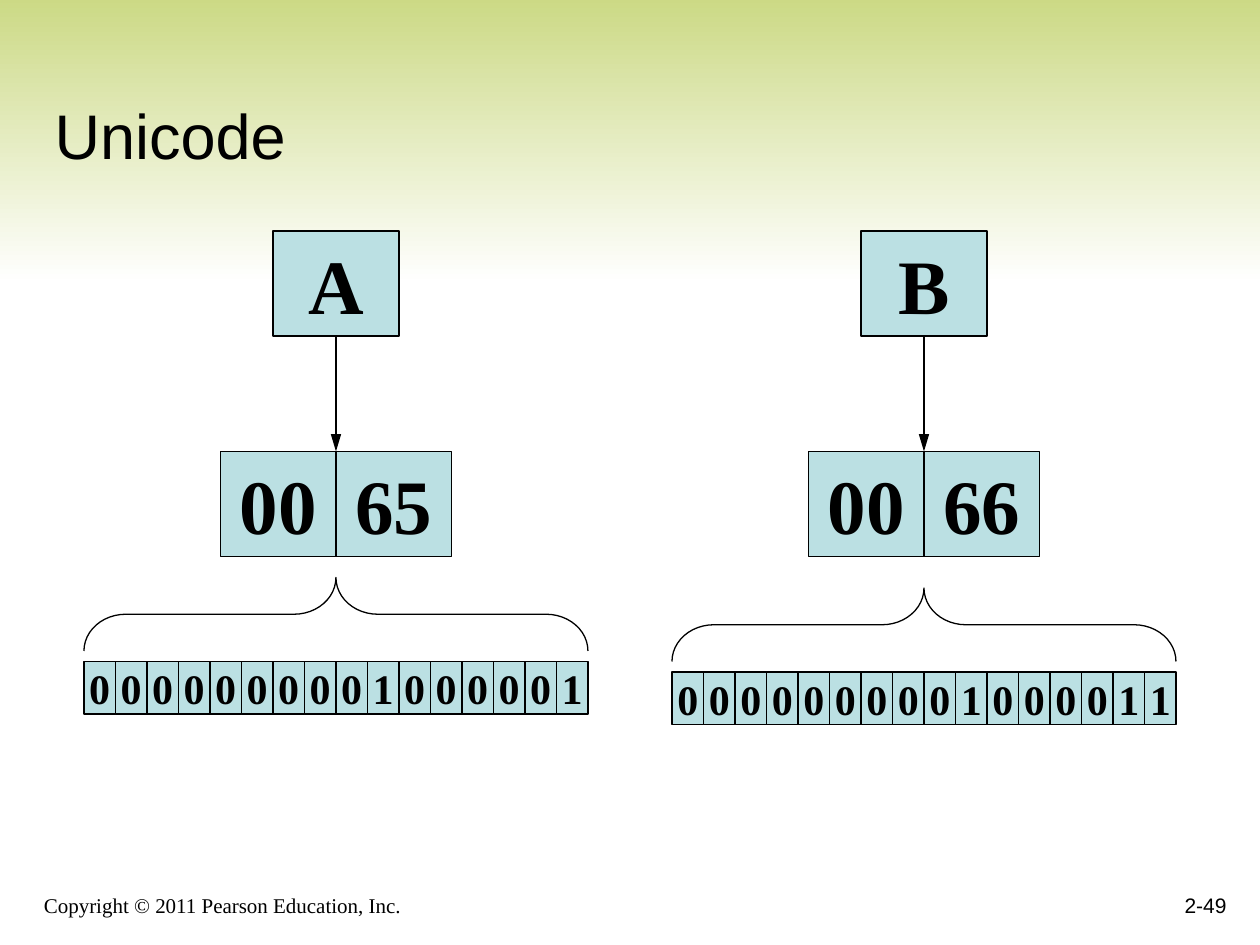
from lxml import etree
from pptx import Presentation
from pptx.dml.color import RGBColor
from pptx.enum.shapes import MSO_CONNECTOR, MSO_SHAPE
from pptx.enum.text import MSO_ANCHOR as ANCHOR, MSO_AUTO_SIZE, PP_ALIGN as ALIGN
from pptx.oxml.ns import qn
from pptx.util import Inches, Pt

COLORS = {"ink": "000000", "cell": "BBE0E3", "band": "CAD881", "paper": "FFFFFF"}
SERIF, SANS = "Times New Roman", "Arial"


def grid(*steps):
    """Lengths on the slide's grid of twelve steps to the inch."""
    return [Inches(n / 12) for n in steps]


def rgb(name):
    return RGBColor.from_string(COLORS[name])


def write(tf, text, size, font=SERIF, bold=False, align=ALIGN.LEFT,
          anchor=ANCHOR.BOTTOM, wrap=True):
    tf.auto_size = MSO_AUTO_SIZE.NONE
    tf.word_wrap = wrap
    tf.vertical_anchor = anchor
    p = tf.paragraphs[0]
    p.alignment = align
    r = p.add_run()
    r.text = text
    r.font.size, r.font.name, r.font.bold = Pt(size), font, bold
    r.font.color.rgb = rgb("ink")


def outline(shape, width=0.75):
    shape.line.color.rgb = rgb("ink")
    shape.line.width = Pt(width)


def cell(shapes, x, y, w, h, text, size):
    sp = shapes.add_shape(MSO_SHAPE.RECTANGLE, *grid(x, y, w, h))
    sp.shadow.inherit = False
    sp.fill.solid()
    sp.fill.fore_color.rgb = rgb("cell")
    outline(sp)
    write(sp.text_frame, text, size, bold=True, align=ALIGN.CENTER,
          anchor=ANCHOR.MIDDLE, wrap=False)


def cell_row(s, left, y, w, h, texts, size, last_first=False):
    group = s.shapes.add_group_shape()
    order = list(range(len(texts)))
    if last_first:  # the last cell lies below its neighbour
        order[-2:] = reversed(order[-2:])
    for i in order:
        cell(group.shapes, left + i * w, y, w, h, texts[i], size)


def arrow(s, x, top, bottom):
    line = s.shapes.add_connector(MSO_CONNECTOR.STRAIGHT, *grid(x, top, x, bottom))
    outline(line, 1.5)
    etree.SubElement(line.line._get_or_add_ln(), qn("a:tailEnd"),
                     type="triangle", w="med", len="lg")
    etree.SubElement(line._element.spPr, qn("a:effectLst"))


def brace(s, center, top, width, height):
    # A right brace turned to point upwards, so its sides are swapped
    sp = s.shapes.add_shape(MSO_SHAPE.RIGHT_BRACE,
                            *grid(center - height / 2, top + height / 2 - width / 2,
                                  height, width))
    sp.rotation = 270
    sp.adjustments[0] = 0.57
    sp.shadow.inherit = False
    sp.fill.background()
    outline(sp)


def encoding(s, center, brace_top, letter, code, bit_groups):
    cell(s.shapes, center - 6, 22, 12, 10, letter, 44)
    cell_row(s, center - 11, 43, 11, 10, code, 44)
    arrow(s, center, 32, 43)
    left = center - 24
    for bits in bit_groups:
        cell_row(s, left, brace_top + 8, 3, 5, bits, 24,
                 last_first=bits is bit_groups[-1])
        left += 3 * len(bits)
    brace(s, center, brace_top, 48, 7)


def header(s, x, y, w, h):
    band = s.shapes.add_shape(MSO_SHAPE.RECTANGLE, *grid(x, y, w, h))
    band.shadow.inherit = False
    band.line.fill.background()
    band.fill.gradient()
    band.fill.gradient_angle = 270
    for stop, position, name in zip(band.fill.gradient_stops, (0, 1), ("band", "paper")):
        stop.position = position
        stop.color.rgb = rgb(name)
    s.shapes._spTree.insert(2, band._element)  # behind the title

    title = s.shapes.title
    title.left, title.top, title.width, title.height = grid(4, 4, 113, 13)
    write(title.text_frame, "Unicode", 36, font=SANS)


def footer(s, x, y, w, h, text, **fmt):
    box = s.shapes.add_textbox(*grid(x, y, w, h))
    write(box.text_frame, text, 12, **fmt)


def main():
    prs = Presentation()
    prs.slide_width, prs.slide_height = Inches(10), Inches(7.5)
    s = prs.slides.add_slide(prs.slide_layouts[5])

    # Title band
    header(s, 0, -1, 120, 28)

    # Letter, byte pair and bits
    encoding(s, 32, 55, "A", ("00", "65"), ("00000000", "01000001"))
    encoding(s, 88, 56, "B", ("00", "66"), ("0000000001000011",))

    # Footer
    footer(s, 3, 83, 73, 5, "Copyright © 2011 Pearson Education, Inc.")
    footer(s, 93, 82, 25, 6, "2-49", font=SANS, align=ALIGN.RIGHT)

    prs.save("out.pptx")


if __name__ == "__main__":
    main()
